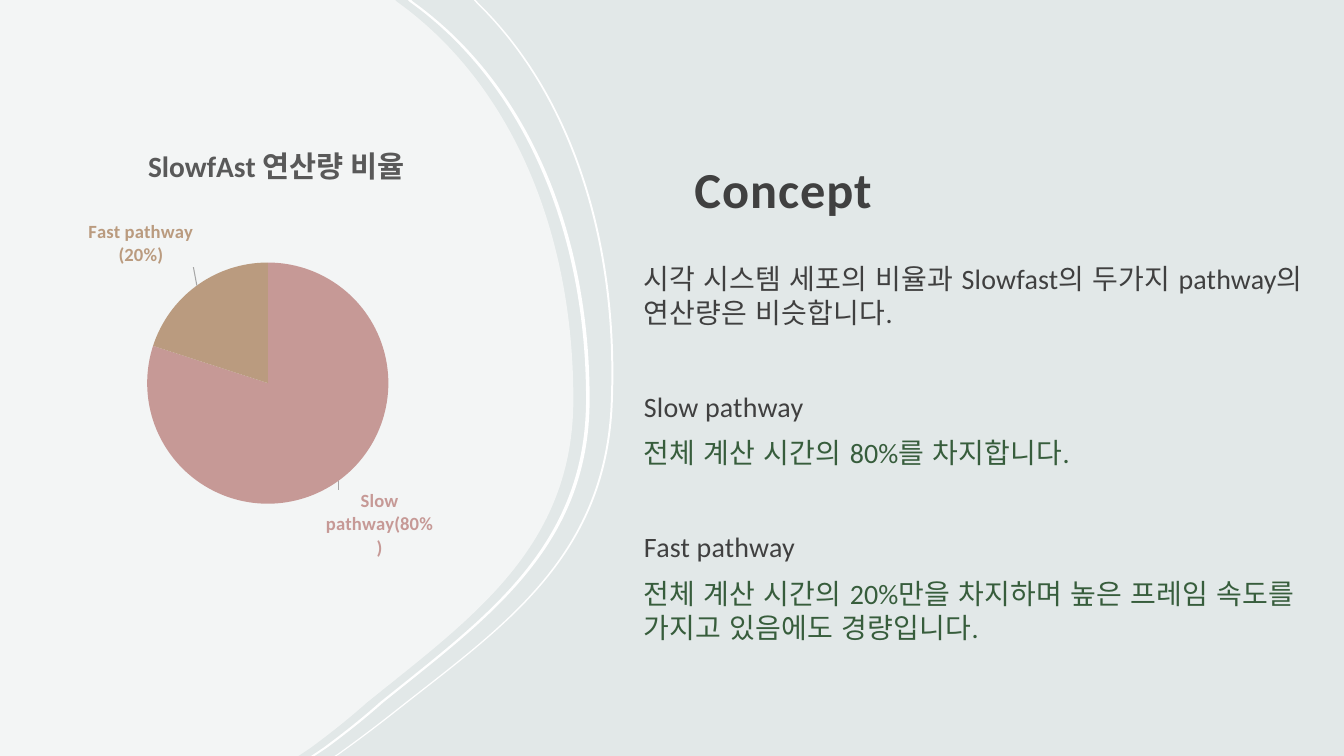
from lxml.etree import SubElement
from pptx import Presentation
from pptx.chart.data import CategoryChartData
from pptx.dml.color import RGBColor
from pptx.enum.chart import XL_CHART_TYPE, XL_LABEL_POSITION
from pptx.enum.lang import MSO_LANGUAGE_ID
from pptx.enum.text import MSO_ANCHOR, PP_ALIGN
from pptx.oxml import parse_xml
from pptx.oxml.ns import nsdecls, qn
from pptx.util import Cm, Pt

BACKGROUND = RGBColor(0xE2, 0xE8, 0xE8)
WHITE = RGBColor(0xFF, 0xFF, 0xFF)
DARK = RGBColor(0x40, 0x40, 0x40)
GREEN = RGBColor(0x37, 0x5D, 0x3C)
GREY = RGBColor(0x59, 0x59, 0x59)
LEADER = RGBColor(0xA6, 0xA6, 0xA6)
ROSE = RGBColor(0xC6, 0x99, 0x96)
TAN = RGBColor(0xBA, 0x9B, 0x7F)
FONT = "Calibri"

TITLE = "Concept"
CHART_TITLE = "SlowfAst 연산량 비율"
# category, share, colour, label offset
SLICES = [
    ("Slow pathway(80%)", 80, ROSE, (-0.03, 0.01)),
    ("Fast pathway (20%)", 20, TAN, (0, -0.03)),
]
LABEL_SIZE = (0.18, 0.16)
# text, colour, space before in points
BODY = [
    ("시각 시스템 세포의 비율과 Slowfast의 두가지 pathway의 연산량은 비슷합니다.", DARK, 0),
    ("Slow pathway", DARK, 43),
    ("전체 계산 시간의 80%를 차지합니다.", GREEN, 9.3),
    ("Fast pathway", DARK, 43),
    ("전체 계산 시간의 20%만을 차지하며 높은 프레임 속도를 가지고 있음에도 경량입니다.", GREEN, 9.3),
]

# Each edge: top point, chain of Bezier curves, bottom point, in cm
PANEL_EDGE = [
    [(9.96, 0)],
    [(10.01, 0.05), (12.88, 2.11), (14.45, 5.82), (14.45, 10.06),
     (14.45, 13.79), (11.89, 15.57), (9.25, 17.7),
     (8.79, 18.11), (8.31, 18.49), (7.82, 18.85)],
    [(7.52, 19.05)],
]
OUTER_EDGE = [
    [(11.94, 0)],
    [(12.01, 0.08), (14.38, 2.39), (15.57, 6.1), (15.39, 10.21),
     (15.21, 14.1), (12.6, 15.82), (9.93, 17.93),
     (9.45, 18.31), (8.97, 18.67), (8.48, 19.02)],
    [(8.43, 19.05)],
]


def shifted(edge, shift):
    return [[(x + shift, y) for x, y in section] for section in edge]


def add_outline(page, sections):
    """Draw a closed white shape; a section is a corner or a chain of Bezier curves."""
    points = [(Cm(x), Cm(y)) for section in sections for x, y in section]
    builder = page.shapes.build_freeform(*points[0], scale=1.0)
    builder.add_line_segments(points[1:], close=True)
    shape = builder.convert_to_shape()
    steps = list(next(shape._element.iter(qn("a:path"))))
    first = 0
    for section in sections:
        for start in range(first + 1, first + len(section), 3):
            curve = SubElement(steps[0].getparent(), qn("a:cubicBezTo"))
            steps[start].addprevious(curve)
            for step in steps[start:start + 3]:
                curve.append(step[0])
                step.getparent().remove(step)
        first += len(section)
    shape.shadow.inherit = False
    shape.fill.solid()
    shape.fill.fore_color.rgb = WHITE
    shape.line.fill.background()
    return shape


def add_band(page, edge, inner, outer):
    back = [section[::-1] for section in shifted(edge, inner)[::-1]]
    add_outline(page, shifted(edge, outer) + back)


def style(font, size, colour, bold=False):
    font.name, font.size, font.bold = FONT, Pt(size), bold
    font.color.rgb = colour


def set_layout(layout, **values):
    manual = SubElement(layout, qn("c:manualLayout"))
    for name, value in values.items():
        SubElement(manual, qn("c:" + name)).set("val", str(value))


def add_title(page):
    title = page.shapes.title
    title.left, title.top, title.width, title.height = Cm(17.2), Cm(1.22), Cm(14.43), Cm(4.55)
    frame = title.text_frame
    frame.text = TITLE
    frame.vertical_anchor = MSO_ANCHOR.BOTTOM
    frame.margin_left = frame.margin_right = Cm(0.3)
    frame.margin_bottom = Cm(0.25)
    para = frame.paragraphs[0]
    para.alignment = PP_ALIGN.LEFT
    para.line_spacing = 1.05
    style(para.font, 36, DARK, True)
    para.runs[0].font._element.set("spc", "70")


def add_body(page):
    frame = page.shapes.add_textbox(Cm(15.93), Cm(6.3), Cm(17.5), Cm(10.13)).text_frame
    frame.word_wrap = True
    frame.margin_left = frame.margin_right = frame.margin_top = Cm(0.3)
    for index, (text, colour, gap) in enumerate(BODY):
        para = frame.paragraphs[0] if index == 0 else frame.add_paragraph()
        para.text = text
        para.space_before = Pt(gap)
        para.line_spacing = Pt(24)
        style(para.font, 20, colour)
        span = para.runs[0].font
        span.language_id = MSO_LANGUAGE_ID.KOREAN
        span._element.set("spc", "10")


def format_label(label, offset):
    label.find(qn("c:showVal")).set("val", "0")
    label.find(qn("c:showCatName")).set("val", "1")
    layout = SubElement(label, qn("c:layout"))
    label.find(qn("c:idx")).addnext(layout)
    set_layout(layout, x=offset[0], y=offset[1])
    width, height = LABEL_SIZE
    label.append(parse_xml(
        f'<c:extLst {nsdecls("c")}><c:ext uri="{{CE6537A1-D6FC-4f65-9D91-7224C49458BB}}" '
        'xmlns:c15="http://schemas.microsoft.com/office/drawing/2012/chart"><c15:layout>'
        f'<c:manualLayout><c:w val="{width}"/><c:h val="{height}"/></c:manualLayout>'
        '</c15:layout></c:ext></c:extLst>'))


def add_pie(page):
    data = CategoryChartData()
    data.categories = [name for name, *_ in SLICES]
    data.add_series("Series 1", [share for _, share, *_ in SLICES])
    chart = page.shapes.add_chart(XL_CHART_TYPE.PIE, Cm(0.25), Cm(3.12),
                                  Cm(13.61), Cm(11.43), data).chart
    chart.has_legend = False
    chart.font.name, chart.font.size = FONT, Pt(10)
    chart.has_title = True
    chart.chart_title.include_in_layout = False
    para = chart.chart_title.text_frame.paragraphs[0]
    para.text = CHART_TITLE
    style(para.font, 21, GREY, True)
    title = chart.chart_title._element
    layout = title.find(qn("c:layout"))
    if layout is None:
        layout = SubElement(title, qn("c:layout"))
        title.find(qn("c:tx")).addnext(layout)
    set_layout(layout, xMode="edge", yMode="edge", x=0.246, y=0.025)

    plot = chart.plots[0]
    plot.vary_by_categories = True
    area = plot._element.getparent()
    layout = area.find(qn("c:layout"))
    if layout is None:
        layout = SubElement(area, qn("c:layout"))
        area.insert(0, layout)
    set_layout(layout, layoutTarget="inner", xMode="edge", yMode="edge",
               x=0.254, y=0.306, w=0.447, h=0.532)

    series = plot.series[0]
    for index, (_, _, colour, _) in enumerate(SLICES):
        point = series.points[index]
        point.format.fill.solid()
        point.format.fill.fore_color.rgb = colour
        style(point.data_label.font, 13.3, colour, True)
        point.data_label.position = XL_LABEL_POSITION.OUTSIDE_END
    for label, (*_, offset) in zip(series._element.iter(qn("c:dLbl")), SLICES):
        format_label(label, offset)
    labels = series._element.find(qn("c:dLbls"))
    if labels.find(qn("c:showLeaderLines")) is None:
        SubElement(labels, qn("c:showLeaderLines"))
    labels.find(qn("c:showLeaderLines")).set("val", "1")
    labels.append(parse_xml(
        f'<c:leaderLines {nsdecls("c", "a")}><c:spPr><a:ln w="9525"><a:solidFill>'
        f'<a:srgbClr val="{LEADER}"/></a:solidFill></a:ln></c:spPr></c:leaderLines>'))


def main():
    deck = Presentation()
    deck.slide_width, deck.slide_height = Cm(33.87), Cm(19.05)
    page = deck.slides.add_slide(deck.slide_layouts[5])
    page.background.fill.solid()
    page.background.fill.fore_color.rgb = BACKGROUND

    panel = add_outline(page, [[(0, 0)], *PANEL_EDGE, [(0, 19.05)]])
    colour = panel._element.spPr.find(qn("a:solidFill"))[0]
    SubElement(colour, qn("a:alpha")).set("val", "60000")
    add_band(page, OUTER_EDGE, 0, 0.05)
    add_band(page, PANEL_EDGE, 0.32, 0.41)
    add_title(page)
    add_body(page)
    add_pie(page)
    deck.save("out.pptx")


if __name__ == "__main__":
    main()
